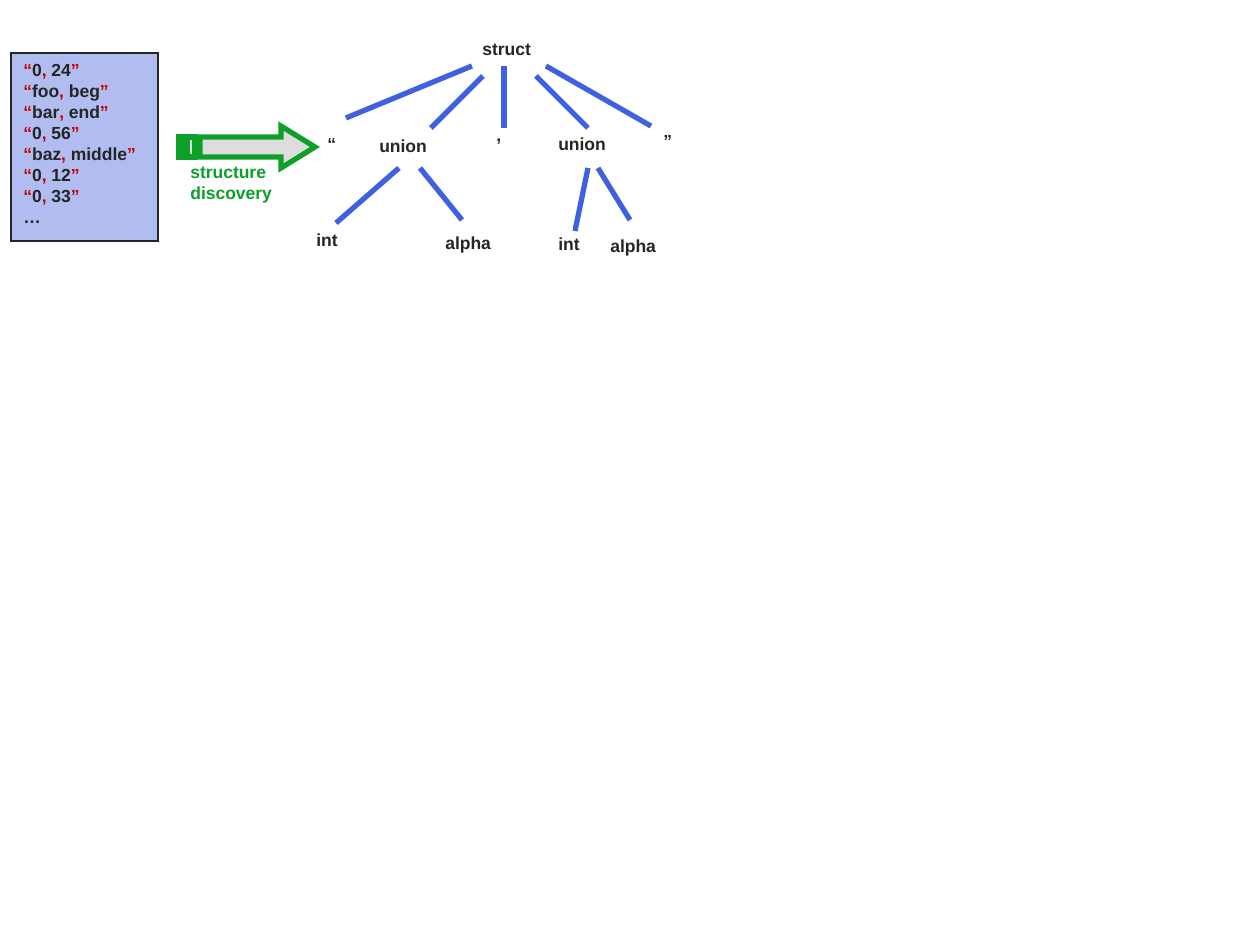
from typing import NamedTuple

from lxml import etree
from pptx import Presentation
from pptx import util as u
from pptx.dml.color import RGBColor
from pptx.enum import shapes, text
from pptx.oxml import ns

PX = 914400 / 126  # EMU in one px
FONT, FONT_SIZE = "Arial", u.Pt(10)
LABEL_HEIGHT = 34
COLORS = {
    "ink": "252525",
    "mark": "CC0000",
    "panel": "B1BDF0",
    "branch": "3F60E0",
    "arrow": "0E9F28",
    "arrow_fill": "DDDDDD",
}


class Label(NamedTuple):
    lines: tuple[str, ...]
    left: int
    top: int
    width: int
    height: int = LABEL_HEIGHT
    color: str = "ink"


class Branch(NamedTuple):
    x1: int
    y1: int
    x2: int
    y2: int


RECORDS = [("0", "24"), ("foo", "beg"), ("bar", "end"), ("0", "56"),
           ("baz", "middle"), ("0", "12"), ("0", "33")]

LABELS = [
    Label(("struct",), 470, 32, 76),
    Label(("“",), 315, 127, 36),
    Label(("union",), 367, 129, 75),
    Label((",",), 484, 118, 32),
    Label(("union",), 546, 127, 75),
    Label(("”",), 651, 124, 36),
    Label(("int",), 304, 223, 49),
    Label(("alpha",), 433, 226, 73),
    Label(("int",), 546, 227, 49),
    Label(("alpha",), 598, 229, 73),
    Label(("structure", "discovery"), 178, 155, 110, 55, "arrow"),
]

BRANCHES = [
    # struct to its five fields
    Branch(472, 66, 346, 118),
    Branch(483, 76, 431, 128),
    Branch(504, 66, 504, 128),
    Branch(536, 76, 588, 128),
    Branch(546, 66, 651, 126),
    # unions to their alternatives
    Branch(399, 168, 336, 223),
    Branch(420, 168, 462, 220),
    Branch(588, 168, 575, 231),
    Branch(598, 168, 630, 220),
]

ARROW_BODY = [(200, 137), (281, 137), (281, 126), (315, 147),
              (281, 168), (281, 157), (200, 157)]
ARROW_STRIPES = [(179, 183), (187, 195)]


def emu(px: int) -> int:
    return round(px * PX)


def rgb(name: str) -> RGBColor:
    return RGBColor.from_string(COLORS[name])


def set_font(para, color: str) -> None:
    para.alignment = text.PP_ALIGN.LEFT
    para.font.name = FONT
    para.font.size = FONT_SIZE
    para.font.bold = True
    para.font.color.rgb = rgb(color)


def style_shape(shape, fill: str, line: str, points: int) -> None:
    shape.shadow.inherit = False
    shape.fill.solid()
    shape.fill.fore_color.rgb = rgb(fill)
    shape.line.color.rgb = rgb(line)
    shape.line.width = u.Pt(points)
    # Sharp corners
    outline = shape.element.spPr.find(ns.qn("a:ln"))
    etree.SubElement(outline, ns.qn("a:miter"), lim="800000")


def next_para(frame, index: int):
    return frame.add_paragraph() if index else frame.paragraphs[0]


def draw_records(page) -> None:
    panel = page.shapes.add_shape(shapes.MSO_SHAPE.RECTANGLE,
                                  *map(emu, (11, 53, 147, 188)))
    style_shape(panel, "panel", "ink", 1)
    frame = panel.text_frame
    frame.word_wrap = False
    frame.vertical_anchor = text.MSO_ANCHOR.TOP
    for index, (first, second) in enumerate(RECORDS):
        para = next_para(frame, index)
        set_font(para, "ink")
        for part in ("“", first, ",", f" {second}", "”"):
            span = para.add_run()
            span.text = part
            if part in "“,”":
                span.font.color.rgb = rgb("mark")
    para = frame.add_paragraph()
    para.text = "…"
    set_font(para, "ink")


def draw_label(page, label: Label) -> None:
    box = page.shapes.add_textbox(
        *map(emu, (label.left, label.top, label.width, label.height)))
    frame = box.text_frame
    frame.word_wrap = False
    frame.auto_size = text.MSO_AUTO_SIZE.SHAPE_TO_FIT_TEXT
    for index, line in enumerate(label.lines):
        para = next_para(frame, index)
        para.text = line
        set_font(para, label.color)


def draw_branch(page, branch: Branch) -> None:
    line = page.shapes.add_connector(shapes.MSO_CONNECTOR.STRAIGHT,
                                     *map(emu, branch))
    line.line.color.rgb = rgb("branch")
    line.line.width = u.Pt(3)
    etree.SubElement(line.element.spPr, ns.qn("a:effectLst"))


def draw_arrow(page) -> None:
    builder = page.shapes.build_freeform(*ARROW_BODY[0], scale=PX)
    builder.add_line_segments(ARROW_BODY[1:], close=True)
    for left, right in ARROW_STRIPES:
        builder.move_to(left, 137)
        builder.add_line_segments([(right, 137), (right, 157), (left, 157)],
                                  close=True)
    style_shape(builder.convert_to_shape(), "arrow_fill", "arrow", 3)


def main() -> None:
    deck = Presentation()
    deck.slide_width, deck.slide_height = u.Inches(10), u.Inches(7.5)
    page = deck.slides.add_slide(deck.slide_layouts[6])

    # Input records
    draw_records(page)

    # Discovery arrow
    draw_arrow(page)

    # Structure tree and arrow caption
    for branch in BRANCHES:
        draw_branch(page, branch)
    for label in LABELS:
        draw_label(page, label)

    deck.save("out.pptx")


if __name__ == "__main__":
    main()
